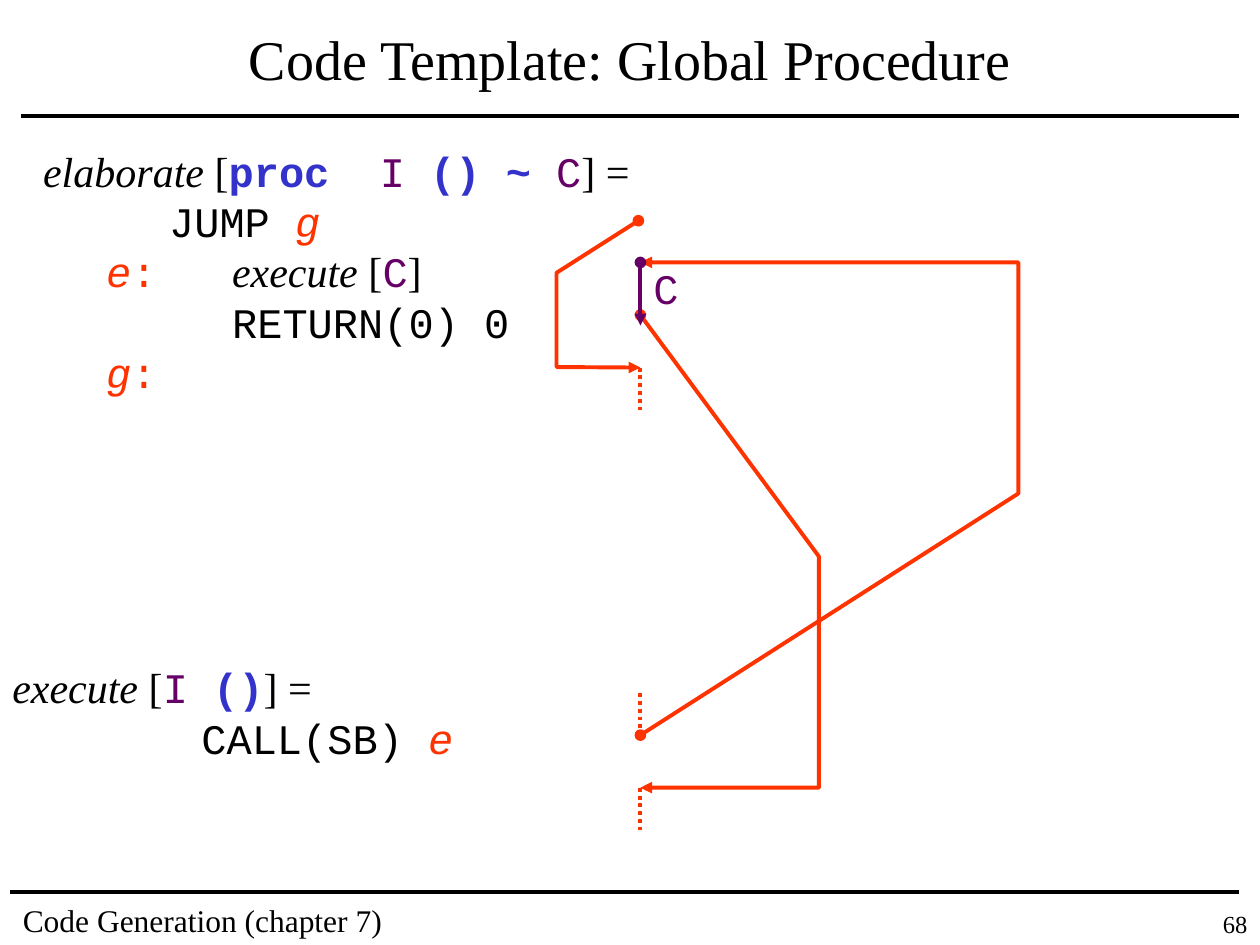
from lxml.etree import SubElement
from pptx import Presentation
from pptx.dml.color import RGBColor
from pptx.enum.dml import MSO_LINE_DASH_STYLE as Dash
from pptx.enum.shapes import MSO_CONNECTOR
from pptx.enum.text import MSO_ANCHOR, MSO_AUTO_SIZE, PP_ALIGN
from pptx.oxml.ns import qn
from pptx.util import Cm, Pt

BLACK = RGBColor(0x00, 0x00, 0x00)
BLUE = RGBColor(0x33, 0x33, 0xCC)
PURPLE = RGBColor(0x66, 0x00, 0x66)
RED = RGBColor(0xFF, 0x33, 0x00)
SERIF, MONO = "Times New Roman", "Courier New"

# Style: font, colour, bold, italic
PLAIN = (SERIF, BLACK, False, False)
FUNCTION = (SERIF, BLACK, False, True)
KEYWORD = (MONO, BLUE, True, False)
VARIABLE = (MONO, PURPLE, False, False)
INSTRUCTION = (MONO, BLACK, False, False)
ADDRESS = (MONO, RED, False, True)
COLON = (MONO, RED, False, False)

TAB = Cm(2.54)
INDENT = Cm(1.27)

# Each line: indent, runs
ELABORATE = [
    (0, [("elaborate", FUNCTION), (" [", PLAIN), ("proc  ", KEYWORD), ("I ", VARIABLE),
         ("() ~ ", KEYWORD), ("C", VARIABLE), ("] =", PLAIN)]),
    (0, [("\t", PLAIN), ("JUMP ", INSTRUCTION), ("g", ADDRESS)]),
    (INDENT, [("e", ADDRESS), (":\t", COLON), ("execute", FUNCTION), (" [", PLAIN),
              ("C", VARIABLE), ("]", PLAIN)]),
    (INDENT, [("\t", PLAIN), ("RETURN(0) 0", INSTRUCTION)]),
    (INDENT, [("g", ADDRESS), (":", COLON)]),
]
EXECUTE = [
    (0, [("execute", FUNCTION), (" [", PLAIN), ("I ", VARIABLE), ("()", KEYWORD),
         ("] =", PLAIN)]),
    (INDENT, [("\t", ADDRESS), ("CALL(SB) ", INSTRUCTION), ("e", ADDRESS)]),
]

# Control flow, in cm; the code runs down one vertical axis
AXIS = 12.91
ENTRY, RETURN, AFTER_BODY, CALL, AFTER_CALL = 5.29, 6.35, 7.41, 14.82, 15.88
JUMP_PATH = [(12.87, 4.45), (11.22, 5.5), (11.22, 7.4), (AXIS, AFTER_BODY)]
CALL_PATH = [(AXIS, CALL), (20.53, 9.95), (20.53, ENTRY), (AXIS, ENTRY)]
RETURN_PATH = [(AXIS, RETURN), (16.51, 11.22), (16.51, AFTER_CALL), (AXIS, AFTER_CALL)]
DOTTED_TOPS = [AFTER_BODY, 13.97, AFTER_CALL]
DOTTED_LENGTH = 0.85
RULES = [(0.42, 2.33), (0.21, 17.99)]
RULE_END = 24.98


def style_line(shape, color, dash=None, arrow=False):
    shape.line.color.rgb = color
    shape.line.width = Pt(2.25)
    if dash:
        shape.line.dash_style = dash
    if arrow:
        ln = shape._element.spPr.get_or_add_ln()
        SubElement(ln, qn("a:headEnd"), type="oval")
        SubElement(ln, qn("a:tailEnd"), type="triangle")


def add_line(slide, x1, y1, x2, y2, color, **style):
    line = slide.shapes.add_connector(
        MSO_CONNECTOR.STRAIGHT, Cm(x1), Cm(y1), Cm(x2), Cm(y2))
    style_line(line, color, **style)
    SubElement(line._element.spPr, qn("a:effectLst"))


def add_flow(slide, points):
    start, *others = [(Cm(x), Cm(y)) for x, y in points]
    builder = slide.shapes.build_freeform(*start)
    builder.add_line_segments(others, close=False)
    flow = builder.convert_to_shape()
    flow.fill.background()
    flow.shadow.inherit = False
    style_line(flow, RED, arrow=True)


def add_text_frame(slide, left, top, width, height, wrap=False):
    box = slide.shapes.add_textbox(Cm(left), Cm(top), Cm(width), Cm(height))
    box.text_frame.word_wrap = wrap
    box.text_frame.auto_size = MSO_AUTO_SIZE.NONE if wrap else MSO_AUTO_SIZE.SHAPE_TO_FIT_TEXT
    return box.text_frame


def set_text(frame, text, size, font=SERIF, color=BLACK, align=PP_ALIGN.LEFT):
    frame.text = text
    paragraph = frame.paragraphs[0]
    paragraph.alignment = align
    paragraph.font.size = Pt(size)
    paragraph.font.name = font
    paragraph.font.color.rgb = color


def add_code(slide, lines, *place):
    frame = add_text_frame(slide, *place)
    for number, (indent, runs) in enumerate(lines):
        paragraph = frame.add_paragraph() if number else frame.paragraphs[0]
        properties = paragraph._p.get_or_add_pPr()
        properties.set("marL", str(int(indent)))
        properties.set("indent", "0")
        properties.set("defTabSz", str(int(TAB)))
        for text, (name, color, bold, italic) in runs:
            run = paragraph.add_run()
            run.text = text
            font = run.font
            font.size, font.name, font.bold, font.italic = Pt(24), name, bold, italic
            font.color.rgb = color


def main():
    presentation = Presentation()
    presentation.slide_width, presentation.slide_height = Cm(25.4), Cm(19.05)
    slide = presentation.slides.add_slide(presentation.slide_layouts[5])

    title = slide.shapes.title
    title.left, title.top, title.width, title.height = Cm(0.64), Cm(0.22), Cm(24.13), Cm(1.9)
    title.text_frame.auto_size = MSO_AUTO_SIZE.NONE
    title.text_frame.vertical_anchor = MSO_ANCHOR.MIDDLE
    set_text(title.text_frame, "Code Template: Global Procedure", 32, align=PP_ALIGN.CENTER)

    for left, top in RULES:
        add_line(slide, left, top, RULE_END, top, BLACK)
    set_text(add_text_frame(slide, 0.21, 18.03, 9.73, 1.02, wrap=True),
             "Code Generation (chapter 7)", 18)
    set_text(add_text_frame(slide, 23.5, 18.2, 1.9, 0.85, wrap=True),
             "68", 14, align=PP_ALIGN.RIGHT)

    add_code(slide, ELABORATE, 0.62, 2.8, 12.5, 5.33)
    add_code(slide, EXECUTE, 0, 13.22, 9.4, 2.29)
    set_text(add_text_frame(slide, 12.92, 5.16, 1.02, 1.27), "C", 24, MONO, PURPLE)

    for top in DOTTED_TOPS:
        add_line(slide, AXIS, top, AXIS, top + DOTTED_LENGTH, RED, dash=Dash.ROUND_DOT)
    for path in (JUMP_PATH, CALL_PATH, RETURN_PATH):
        add_flow(slide, path)
    add_line(slide, AXIS, ENTRY, AXIS, 6.56, PURPLE, arrow=True)

    presentation.save("out.pptx")


if __name__ == "__main__":
    main()
